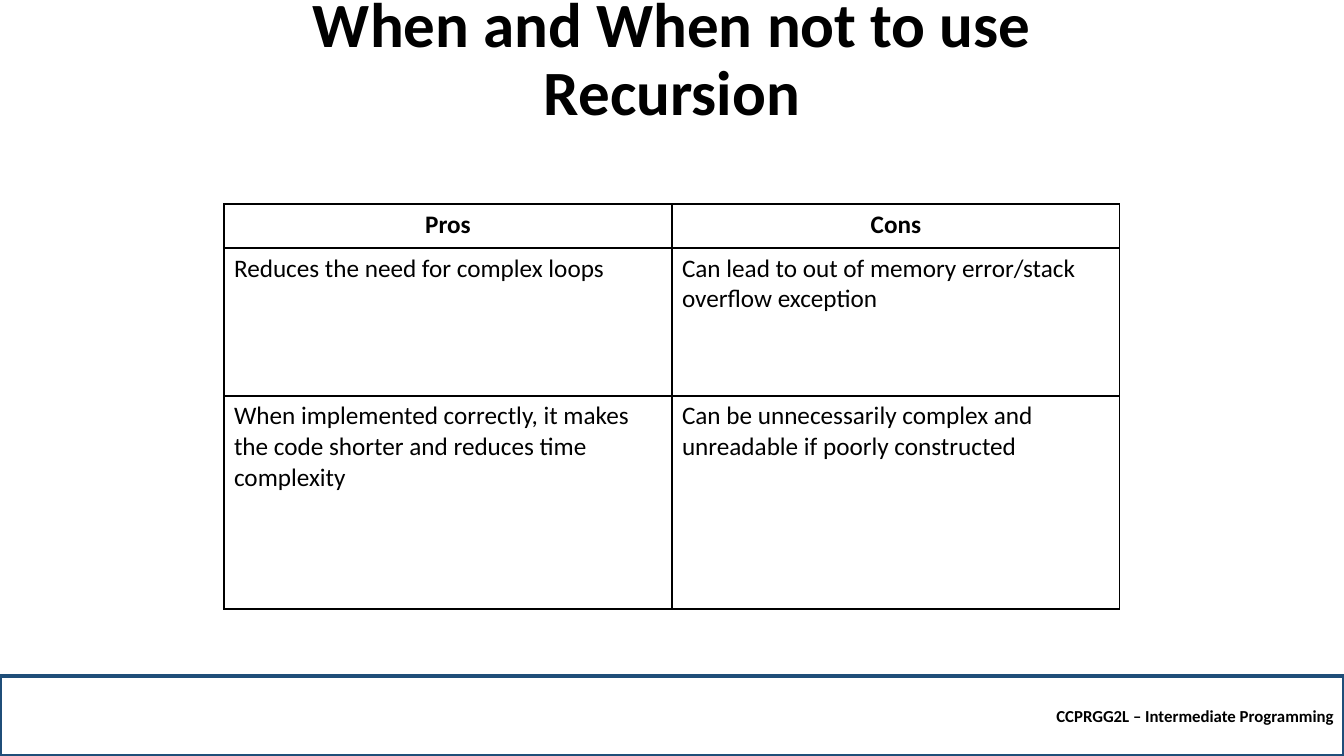
from dataclasses import dataclass

from lxml.etree import SubElement
from pptx import Presentation
from pptx.dml.color import RGBColor
from pptx.enum.shapes import MSO_SHAPE
from pptx.enum.text import MSO_ANCHOR, MSO_AUTO_SIZE, PP_ALIGN
from pptx.oxml.ns import qn
from pptx.util import Pt

PAGE_WIDTH, PAGE_HEIGHT = 1344, 756
EMU_PER_PX = 12192000 / PAGE_WIDTH
TITLE_ONLY_LAYOUT = 5


@dataclass(frozen=True)
class Theme:
    font: str = "Calibri"
    ink: str = "000000"
    frame: str = "1F4E79"
    title_size: int = 45
    table_size: int = 18
    footer_size: int = 12
    border_width: int = 1
    frame_width: float = 2.25


def px(length):
    return round(length * EMU_PER_PX)


def apply_format(target, values):
    for name, value in values.items():
        setattr(target, name, value)


class SlideBuilder:
    def __init__(self, deck, theme):
        self.theme = theme
        self.page = deck.slides.add_slide(deck.slide_layouts[TITLE_ONLY_LAYOUT])

    def add_text(self, frame, text, size, bold=False, **para_format):
        frame.word_wrap = True
        para = frame.paragraphs[0]
        apply_format(para, para_format)
        span = para.add_run()
        span.text = text
        apply_format(span.font, {"name": self.theme.font, "size": Pt(size), "bold": bold})
        span.font.color.rgb = RGBColor.from_string(self.theme.ink)

    def title(self, text, left, top, width, height):
        box = self.page.shapes.title
        apply_format(box, {"left": px(left), "top": px(top),
                           "width": px(width), "height": px(height)})
        apply_format(box.text_frame, {"vertical_anchor": MSO_ANCHOR.BOTTOM,
                                      "auto_size": MSO_AUTO_SIZE.NONE})
        self.add_text(box.text_frame, text, self.theme.title_size, bold=True,
                      alignment=PP_ALIGN.CENTER, line_spacing=0.9)

    def footer(self, text, left, top, width, height):
        box = self.page.shapes.add_shape(
            MSO_SHAPE.RECTANGLE, px(left), px(top), px(width), px(height))
        box.shadow.inherit = False
        box.fill.background()
        box.line.color.rgb = RGBColor.from_string(self.theme.frame)
        box.line.width = Pt(self.theme.frame_width)
        box.text_frame.vertical_anchor = MSO_ANCHOR.MIDDLE
        self.add_text(box.text_frame, text, self.theme.footer_size, bold=True,
                      alignment=PP_ALIGN.RIGHT)

    def border(self, cell):
        properties = cell._tc.get_or_add_tcPr()
        for side in ("lnL", "lnR", "lnT", "lnB"):
            line = SubElement(properties, qn(f"a:{side}"),
                              w=str(Pt(self.theme.border_width)))
            fill = SubElement(line, qn("a:solidFill"))
            SubElement(fill, qn("a:srgbClr"), val=self.theme.ink)

    def table(self, rows, left, top, column_widths, row_heights):
        table = self.page.shapes.add_table(
            len(rows), len(column_widths), px(left), px(top),
            px(sum(column_widths)), px(sum(row_heights))).table
        apply_format(table, {"first_row": False, "horz_banding": False})
        for column, width in zip(table.columns, column_widths):
            column.width = px(width)
        for index, (row, height, texts) in enumerate(zip(table.rows, row_heights, rows)):
            row.height = px(height)
            is_header = index == 0
            for cell, text in zip(row.cells, texts):
                self.border(cell)
                cell.fill.background()
                self.add_text(cell.text_frame, text, self.theme.table_size, bold=is_header,
                              alignment=PP_ALIGN.CENTER if is_header else PP_ALIGN.LEFT)


def main():
    deck = Presentation()
    apply_format(deck, {"slide_width": px(PAGE_WIDTH), "slide_height": px(PAGE_HEIGHT)})
    slide = SlideBuilder(deck, Theme())
    slide.title("When and When not to use Recursion", 168, 54, 1008, 80)
    slide.footer("CCPRGG2L – Intermediate Programming", 0, 676, PAGE_WIDTH, 80)
    slide.table(
        [
            ("Pros", "Cons"),
            ("Reduces the need for complex loops",
             "Can lead to out of memory error/stack overflow exception"),
            ("When implemented correctly, it makes the code shorter and reduces time complexity",
             "Can be unnecessarily complex and unreadable if poorly constructed"),
        ],
        left=224, top=204, column_widths=(448, 448), row_heights=(44, 148, 213))
    deck.save("out.pptx")


if __name__ == "__main__":
    main()
